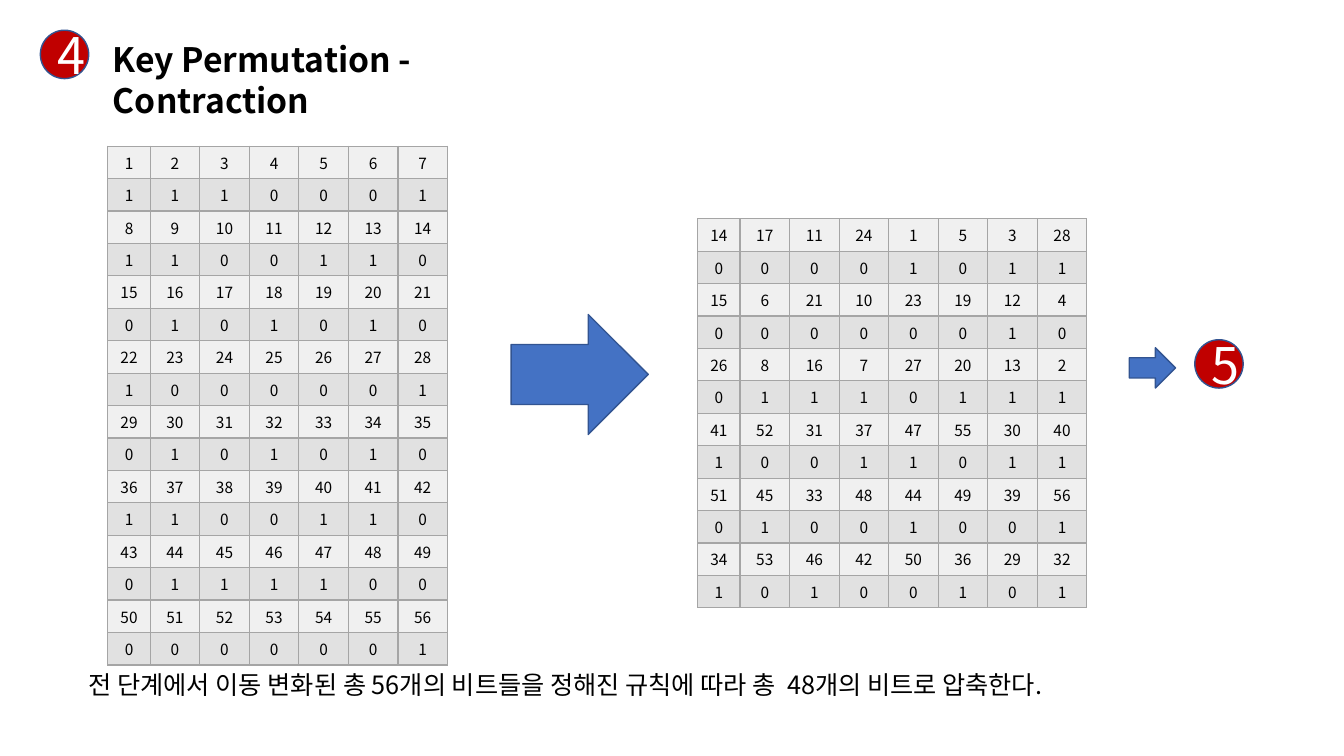
from dataclasses import dataclass

from lxml import etree
from pptx import Presentation
from pptx import util as u
from pptx.dml.color import RGBColor
from pptx.enum import shapes, text
from pptx.oxml import ns


@dataclass(frozen=True)
class Theme:
    font: str = "Noto Sans CJK KR"
    black: str = "000000"
    white: str = "FFFFFF"
    red: str = "C00000"
    blue: str = "4472C4"
    outline: str = "325491"
    border: str = "A5A5A5"
    position_row: str = "F0F0F0"
    bit_row: str = "E1E1E1"
    title_size: int = 24
    caption_size: int = 18
    cell_size: int = 11
    badge_size: int = 36


@dataclass(frozen=True)
class Box:
    left: float
    top: float
    width: float
    height: float

    def lengths(self) -> tuple:
        return tuple(u.Inches(n) for n in (self.left, self.top, self.width, self.height))


@dataclass(frozen=True)
class Marker:
    box: Box
    kind: shapes.MSO_SHAPE
    fill: str
    label: str = ""


@dataclass(frozen=True)
class BitTable:
    box: Box
    columns: int
    positions: list[int]


THEME = Theme()
FIRST_COLUMN = 0.42
KEY_BITS = "1110001" "1100110" "0101010" "1000001" "0101010" "1100110" "0111100" "0000001"
CONTRACTION = [
    14, 17, 11, 24, 1, 5, 3, 28,
    15, 6, 21, 10, 23, 19, 12, 4,
    26, 8, 16, 7, 27, 20, 13, 2,
    41, 52, 31, 37, 47, 55, 30, 40,
    51, 45, 33, 48, 44, 49, 39, 56,
    34, 53, 46, 42, 50, 36, 29, 32,
]
TITLE = "Key Permutation - Contraction"
CAPTION = "전 단계에서 이동 변화된 총 56개의 비트들을 정해진 규칙에 따라 총  48개의 비트로 압축한다."

CIRCLE = shapes.MSO_SHAPE.FLOWCHART_CONNECTOR
ARROW = shapes.MSO_SHAPE.RIGHT_ARROW
MARKERS = [
    Marker(Box(0.4, 0.3, 0.48, 0.48), CIRCLE, THEME.red, "4"),
    Marker(Box(5.07, 3.12, 1.36, 1.19), ARROW, THEME.blue),
    Marker(Box(11.2, 3.45, 0.46, 0.4), ARROW, THEME.blue),
    Marker(Box(11.85, 3.37, 0.48, 0.48), CIRCLE, THEME.red, "5"),
]
TABLES = [
    BitTable(Box(6.92, 2.17, 3.86, 3.86), 8, CONTRACTION),
    BitTable(Box(1.07, 1.45, 3.37, 5.15), 7, list(range(1, len(KEY_BITS) + 1))),
]


def format_paragraph(paragraph, size: int, color: str, align: text.PP_ALIGN, bold: bool = False) -> None:
    paragraph.alignment = align
    font = paragraph.font
    font.name, font.size, font.bold = THEME.font, u.Pt(size), bold
    font.color.rgb = RGBColor.from_string(color)
    etree.SubElement(font._rPr, ns.qn("a:ea"), typeface=THEME.font)


def add_marker(slide, marker: Marker) -> None:
    shape = slide.shapes.add_shape(marker.kind, *marker.box.lengths())
    shape.shadow.inherit = False
    shape.fill.solid()
    shape.fill.fore_color.rgb = RGBColor.from_string(marker.fill)
    shape.line.color.rgb = RGBColor.from_string(THEME.outline)
    shape.line.width = u.Pt(1)
    if marker.label:
        shape.text_frame.text = marker.label
        format_paragraph(shape.text_frame.paragraphs[0], THEME.badge_size, THEME.white, text.PP_ALIGN.CENTER)


def format_cell(cell, value: str, fill: str) -> None:
    cell.text = value
    format_paragraph(cell.text_frame.paragraphs[0], THEME.cell_size, THEME.black, text.PP_ALIGN.CENTER)
    properties = cell._tc.get_or_add_tcPr()
    for side in ("a:lnL", "a:lnR", "a:lnT", "a:lnB"):
        line = etree.SubElement(properties, ns.qn(side), w=str(u.Pt(1)))
        solid = etree.SubElement(line, ns.qn("a:solidFill"))
        etree.SubElement(solid, ns.qn("a:srgbClr"), val=THEME.border)
    cell.fill.solid()
    cell.fill.fore_color.rgb = RGBColor.from_string(fill)


def add_bit_table(slide, bit_table: BitTable) -> None:
    """Draw rows of key positions, each above a row of the bits held there."""
    columns, box = bit_table.columns, bit_table.box
    row_count = 2 * len(bit_table.positions) // columns
    table = slide.shapes.add_table(row_count, columns, *box.lengths()).table
    table.first_row = table.horz_banding = False
    for index, column in enumerate(table.columns):
        width = (box.width - FIRST_COLUMN) / (columns - 1) if index else FIRST_COLUMN
        column.width = u.Inches(width)
    for index, position in enumerate(bit_table.positions):
        block, column_index = divmod(index, columns)
        format_cell(table.cell(2 * block, column_index), str(position), THEME.position_row)
        format_cell(table.cell(2 * block + 1, column_index), KEY_BITS[position - 1], THEME.bit_row)


def fill_text(shape, box: Box, content: str, size: int, bold: bool = False) -> None:
    shape.left, shape.top, shape.width, shape.height = box.lengths()
    frame = shape.text_frame
    frame.text = content
    frame.word_wrap = True
    frame.auto_size = text.MSO_AUTO_SIZE.SHAPE_TO_FIT_TEXT
    frame.vertical_anchor = text.MSO_ANCHOR.TOP
    format_paragraph(frame.paragraphs[0], size, THEME.black, text.PP_ALIGN.LEFT, bold)


def main() -> None:
    presentation = Presentation()
    presentation.slide_width, presentation.slide_height = u.Inches(13.33), u.Inches(7.5)
    slide = presentation.slides.add_slide(presentation.slide_layouts.get_by_name("Title Only"))
    fill_text(slide.shapes.title, Box(1.02, 0.34, 5.13, 0.5), TITLE, THEME.title_size, bold=True)
    for bit_table in TABLES:
        add_bit_table(slide, bit_table)
    for marker in MARKERS:
        add_marker(slide, marker)
    caption_box = Box(0.78, 6.59, 11.07, 0.4)
    caption = slide.shapes.add_textbox(*caption_box.lengths())
    fill_text(caption, caption_box, CAPTION, THEME.caption_size)
    presentation.save("out.pptx")


if __name__ == "__main__":
    main()
